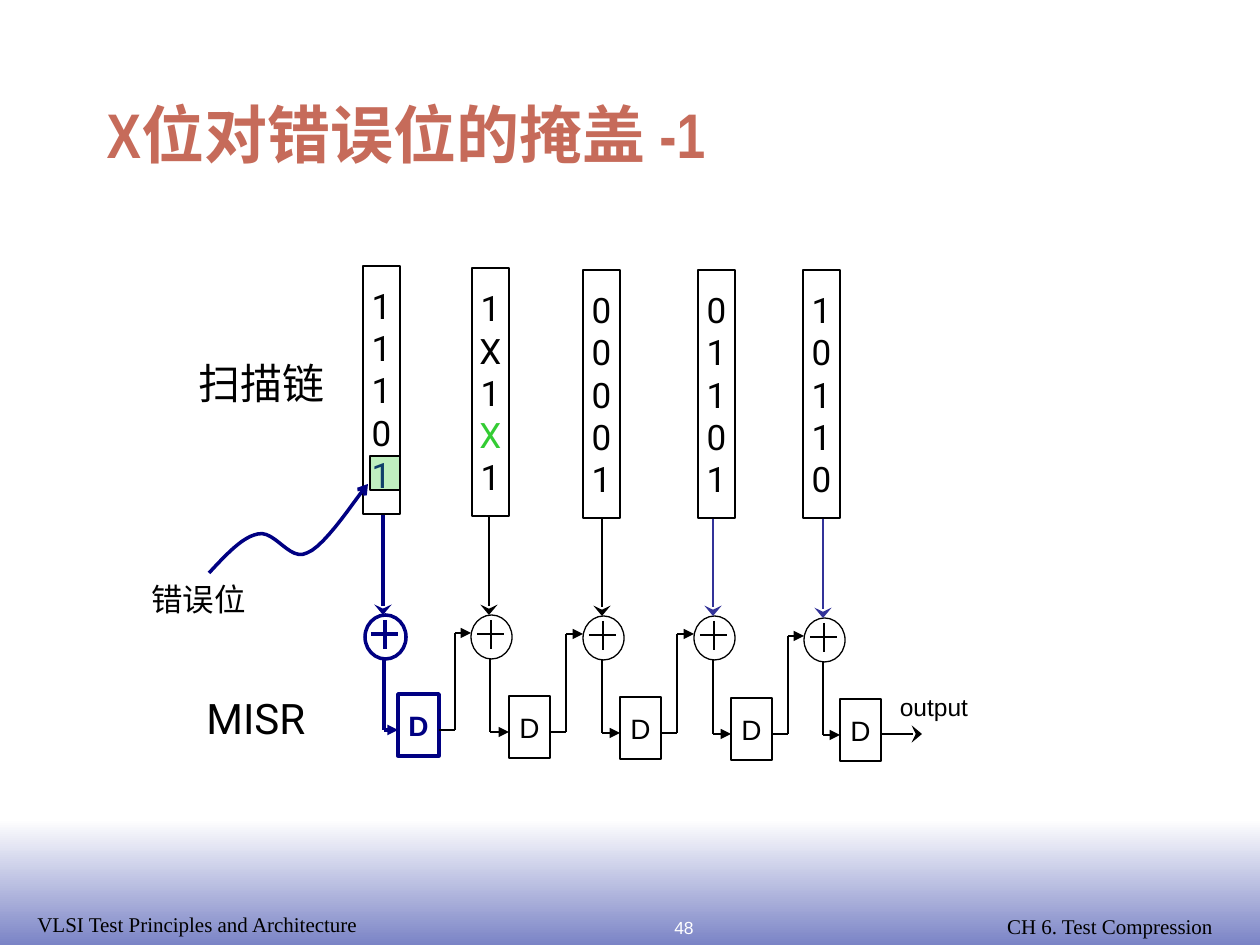
from lxml import etree
from pptx import Presentation
from pptx import util as u
from pptx.dml.color import RGBColor
from pptx.enum import shapes, text
from pptx.oxml import ns

PX = 914400 / 126
BLACK, NAVY, GREEN, INDIGO = "000000", "000082", "33CC33", "333399"
rgb = RGBColor.from_string


def px(*lengths):
    return [round(n * PX) for n in lengths]


def write(sp, lines, font, size, color, align="LEFT", anchor="MIDDLE", wrap=False, bold=False):
    """Fill a shape with one paragraph per line, all in one style."""
    tf = sp.text_frame
    tf.text = "\n".join(lines)
    tf.word_wrap = wrap
    tf.vertical_anchor = text.MSO_ANCHOR[anchor]
    for p in tf.paragraphs:
        p.alignment = text.PP_ALIGN[align]
        p.font.name, p.font.size, p.font.bold = font, u.Pt(size), bold
        p.font.color.rgb = rgb(color)


prs = Presentation()
prs.slide_width, prs.slide_height = px(1260, 945)
s = prs.slides.add_slide(prs.slide_layouts[5])

# Footer band
band = s.shapes.add_shape(shapes.MSO_SHAPE.RECTANGLE, *px(0, 819, 1260, 126))
band.shadow.inherit = False
band.line.fill.background()
band.fill.gradient()
band.fill.gradient_angle = 270
for stop, position, color in zip(band.fill.gradient_stops, (0, 1), ("FFFFFF", "7B84C6")):
    stop.position = position
    stop.color.rgb = rgb(color)

# Title
title = s.shapes.title
title.left, title.top, title.width, title.height = px(94, 19, 1071, 158)
write(title, ["X位对错误位的掩盖 -1"], "Arial Narrow", 36, "C66B5A",
      anchor="BOTTOM", wrap=True, bold=True)

# Footer texts and labels
labels = [
    ("CH 6. Test Compression", (984, 907, 252, 38), "Times New Roman", 12, BLACK, "CENTER", "TOP"),
    ("48", (537, 911, 294, 33), "Arial", 10, "FFFFFF", "CENTER", "TOP"),
    ("VLSI Test Principles and Architecture", (25, 905, 368, 38), "Times New Roman", 12, BLACK,
     "LEFT", "TOP"),
    ("output", (874, 686, 120, 43), "Arial", 14, BLACK, "CENTER", "TOP"),
    ("扫描链", (186, 351, 176, 63), "Roboto", 24, BLACK, "LEFT", "MIDDLE"),
    ("MISR", (194, 686, 176, 63), "Roboto", 24, BLACK, "LEFT", "MIDDLE"),
    ("错误位", (139, 574, 129, 50), "Roboto", 18, BLACK, "LEFT", "MIDDLE"),
]
for words, box, font, size, color, align, anchor in labels:
    sp = s.shapes.add_textbox(*px(*box))
    write(sp, [words], font, size, color, align, anchor, wrap=True)

# Stages: bits, chain left/top, adder left/top, register left/top, shift-in x, colour
stages = [
    ("11101", 363, 266, 365, 615, 398, 694, 383, NAVY),
    ("1X1X1", 472, 268, 471, 615, 509, 696, 489, BLACK),
    ("00001", 583, 270, 583, 616, 620, 697, 602, BLACK),
    ("01101", 698, 270, 694, 616, 731, 698, 713, INDIGO),
    ("10110", 803, 270, 804, 618, 840, 699, 823, INDIGO),
]
bit_colors = {("11101", 4): NAVY, ("1X1X1", 3): GREEN}
boxes, lines = [], []
for i, (bits, cx, cy, ax, ay, dx, dy, in_x, in_color) in enumerate(stages):
    color, width = (NAVY, 2) if i == 0 else (BLACK, 0.75)
    stem_x, wire_y = ax + 19, dy + 36
    boxes += [
        ("RECTANGLE", (cx, cy, 37, 248), BLACK, 0.75, bits, "Roboto", 20, BLACK),
        ("OVAL", (ax, ay, 41, 44), color, width, "", "Arial", 16, color),
        ("RECTANGLE", (dx, dy, 41, 62), color, width, "D", "Arial", 16, color),
    ]
    lines += [
        (in_x, cy + 249, in_x, ay, in_color, 2 if i == 0 else 0.75, "stealth"),
        (ax + 6, ay + 19, ax + 33, ay + 19, color, width, None),
        (ax + 20, ay + 5, ax + 20, ay + 34, color, width, None),
        (stem_x, ay + 44, stem_x, wire_y, color, width, None),
        (stem_x, wire_y, dx, wire_y, color, width, "triangle"),
    ]
    if i < len(stages) - 1:
        next_x, next_y = stages[i + 1][3], stages[i + 1][4] + 18
        riser_x = dx + 57
        lines += [
            (dx + 41, wire_y, riser_x, wire_y, BLACK, 0.75, None),
            (riser_x, wire_y, riser_x, next_y, BLACK, 0.75, None),
            (riser_x, next_y, next_x, next_y, BLACK, 0.75, "triangle"),
        ]
lines.append((881, 734, 922, 734, BLACK, 0.75, "stealth"))

for kind, box, color, width, words, font, size, ink in boxes:
    sp = s.shapes.add_shape(shapes.MSO_SHAPE[kind], *px(*box))
    sp.shadow.inherit = False
    sp.fill.background()
    sp.line.color.rgb, sp.line.width = rgb(color), u.Pt(width)
    if words:
        write(sp, words, font, size, ink, "CENTER", bold=ink == NAVY)
        for n, p in enumerate(sp.text_frame.paragraphs):
            p.font.color.rgb = rgb(bit_colors.get((words, n), ink))

for x1, y1, x2, y2, color, width, head in lines:
    wire = s.shapes.add_connector(shapes.MSO_CONNECTOR.STRAIGHT, *px(x1, y1, x2, y2))
    wire.line.color.rgb, wire.line.width = rgb(color), u.Pt(width)
    if head:
        etree.SubElement(wire.line._get_or_add_ln(), ns.qn("a:tailEnd"), type=head,
                         w="lg" if head == "stealth" else "med")
    etree.SubElement(wire._element.spPr, ns.qn("a:effectLst"))

# Translucent marker on the error bit
marker = s.shapes.add_shape(shapes.MSO_SHAPE.RECTANGLE, *px(370, 456, 30, 34))
marker.shadow.inherit = False
marker.fill.solid()
marker.fill.fore_color.rgb = rgb(GREEN)
marker_color = marker._element.spPr.find(".//" + ns.qn("a:srgbClr"))
etree.SubElement(marker_color, ns.qn("a:alpha"), val="31000")
marker.line.color.rgb, marker.line.width = rgb(BLACK), u.Pt(0.75)

# Wavy pointer: cubic Bezier pieces, each sampled in equal steps
knots = [(209, 573), (226, 555), (242, 537), (258, 534), (275, 530), (290, 562),
         (307, 553), (326, 546), (358, 495), (368, 484)]
STEPS = 12
curve = []
for k in range(0, len(knots) - 1, 3):
    for step in range(1, STEPS + 1):
        t = step / STEPS
        weights = ((1 - t) ** 3, 3 * t * (1 - t) ** 2, 3 * t ** 2 * (1 - t), t ** 3)
        curve.append(px(*(sum(w * knot[axis] for w, knot in zip(weights, knots[k:k + 4]))
                          for axis in (0, 1))))
builder = s.shapes.build_freeform(*px(*knots[0]))
builder.add_line_segments(curve, close=False)
pointer = builder.convert_to_shape()
pointer.shadow.inherit = False
pointer.fill.background()
pointer.line.color.rgb, pointer.line.width = rgb(NAVY), u.Pt(2)
etree.SubElement(pointer.line._get_or_add_ln(), ns.qn("a:tailEnd"), type="arrow")

prs.save("out.pptx")
